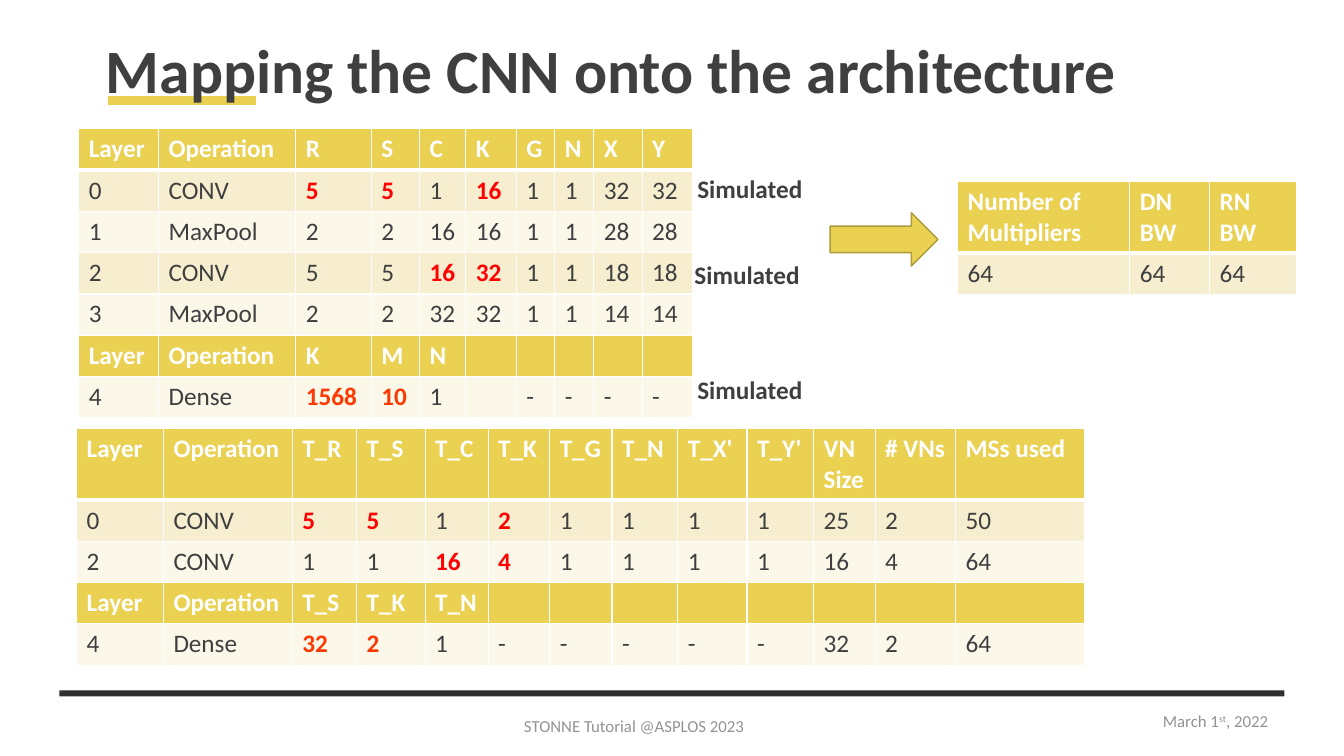
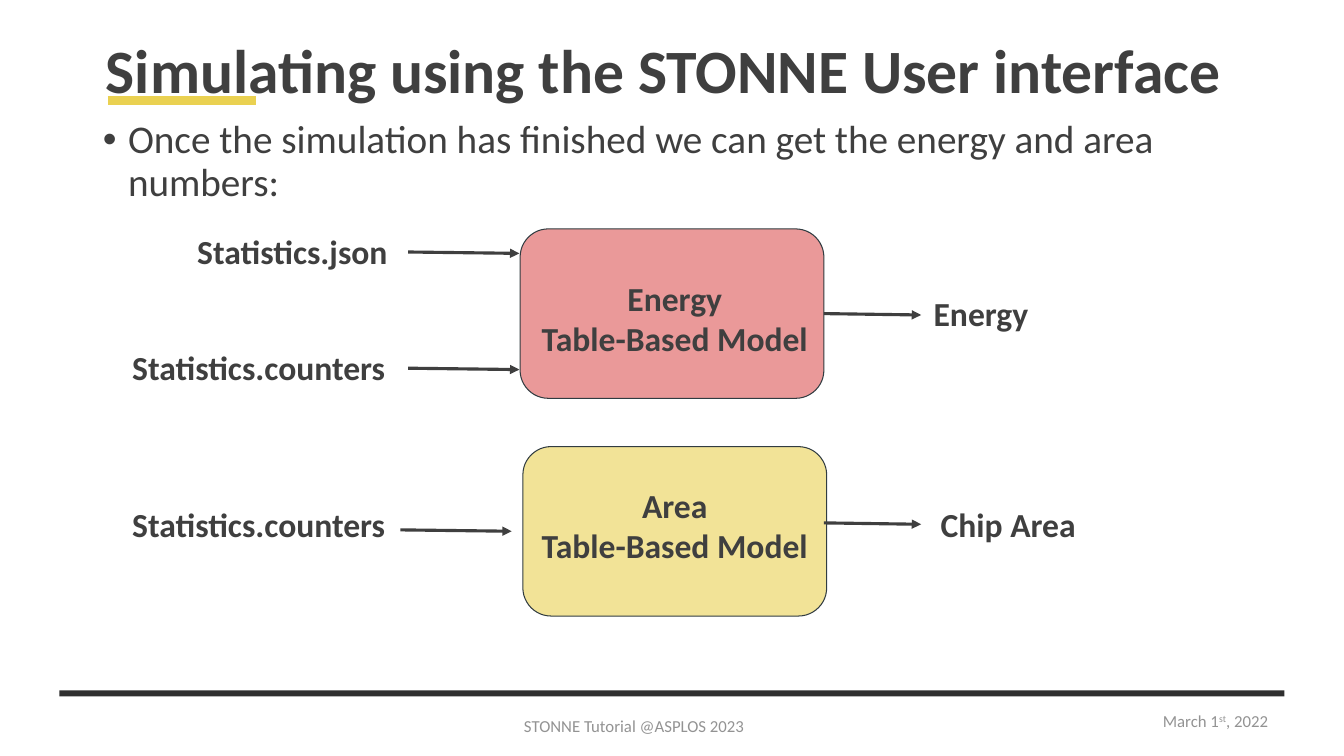
from lxml.etree import SubElement
from pptx import Presentation
from pptx.dml.color import RGBColor
from pptx.enum.shapes import MSO_CONNECTOR as Connector, MSO_SHAPE as Shape
from pptx.enum.text import MSO_ANCHOR as Anchor, MSO_AUTO_SIZE as AutoSize, PP_ALIGN as Align
from pptx.oxml.ns import qn
from pptx.util import Pt

FONT = "Calibri"
TEXT = RGBColor(0x3F, 0x3F, 0x3F)
WHITE = RGBColor(0xFF, 0xFF, 0xFF)
GREY = RGBColor(0x93, 0x93, 0x93)
BAND = RGBColor(0x2F, 0x2F, 0x2F)
GOLD = RGBColor(0xEA, 0xD1, 0x51)
DARK_GOLD = RGBColor(0xAD, 0x9B, 0x3C)
ROW_TINTS = (RGBColor(0xFB, 0xF7, 0xE9), RGBColor(0xF7, 0xEE, 0xD0))
RED = RGBColor(0xFF, 0x00, 0x00)
ORANGE = RGBColor(0xFC, 0x39, 0x03)
PINK = RGBColor(0xEA, 0x99, 0x99)
PALE_GOLD = RGBColor(0xF2, 0xE3, 0x97)
OUTLINE = RGBColor(0x31, 0x3C, 0x41)

HIGHLIGHTS = {"!": RED, "~": ORANGE}  # cell prefixes
WIDE_INSETS = (9.4, 9.4, 9.4, 9.4)
ROW = 29.5
TITLE_ONLY, TITLE_AND_CONTENT = 5, 1

LAYERS = (
    "Layer|Operation|R|S|C|K|G|N|X|Y",
    "0|CONV|!5|!5|1|!16|1|1|32|32",
    "1|MaxPool|2|2|16|16|1|1|28|28",
    "2|CONV|5|5|!16|!32|1|1|18|18",
    "3|MaxPool|2|2|32|32|1|1|14|14",
    "Layer|Operation|K|M|N|||||",
    "4|Dense|~1568|~10|1||-|-|-|-",
)
TILES = (
    "Layer|Operation|T_R|T_S|T_C|T_K|T_G|T_N|T_X'|T_Y'|VN Size|# VNs|MSs used",
    "0|CONV|!5|!5|1|!2|1|1|1|1|25|2|50",
    "2|CONV|1|1|!16|!4|1|1|1|1|16|4|64",
    "Layer|Operation|T_S|T_K|T_N||||||||",
    "4|Dense|~32|~2|1|-|-|-|-|-|32|2|64",
)
HARDWARE = ("Number of Multipliers|DN BW|RN BW", "64|64|64")


def points(values):
    return [Pt(value) for value in values]


def write(frame, text, size=18, bold=False, color=TEXT, align=Align.LEFT,
          superscript="", spacing=None, bullet="", indent=0):
    """Fill a text frame, one paragraph for each line of text."""
    for number, line in enumerate(text.split("\n")):
        paragraph = frame.add_paragraph() if number else frame.paragraphs[0]
        paragraph.alignment = align
        paragraph.line_spacing = spacing
        paragraph.space_before = Pt(0)
        if bullet:
            properties = paragraph._p.get_or_add_pPr()
            properties.set("marL", str(Pt(indent)))
            properties.set("indent", str(-Pt(indent)))
            SubElement(properties, qn("a:buChar"), char=bullet)
        pieces = line.partition(superscript) if superscript else (line,)
        for piece in filter(None, pieces):
            run = paragraph.add_run()
            run.text = piece
            run.font.name, run.font.size = FONT, Pt(size)
            run.font.bold, run.font.color.rgb = bold, color
            if piece == superscript:
                run._r.get_or_add_rPr().set("baseline", "30000")


def set_frame(frame, insets, anchor):
    frame.word_wrap = True
    frame.auto_size = AutoSize.NONE
    frame.vertical_anchor = anchor
    (frame.margin_left, frame.margin_top,
     frame.margin_right, frame.margin_bottom) = points(insets)


def add_text(slide, box, text, insets=(7.2, 3.6, 7.2, 3.6), anchor=Anchor.TOP, **style):
    frame = slide.shapes.add_textbox(*points(box)).text_frame
    set_frame(frame, insets, anchor)
    write(frame, text, **style)


def fill_placeholder(placeholder, box, text, insets, **style):
    (placeholder.left, placeholder.top,
     placeholder.width, placeholder.height) = points(box)
    set_frame(placeholder.text_frame, insets, Anchor.TOP)
    write(placeholder.text_frame, text, spacing=0.9, **style)


def add_block(slide, kind, box, fill, line=None, line_width=1):
    shape = slide.shapes.add_shape(kind, *points(box))
    shape.shadow.inherit = False
    shape.fill.solid()
    shape.fill.fore_color.rgb = fill
    if line is None:
        shape.line.fill.background()
    else:
        shape.line.color.rgb = line
        shape.line.width = Pt(line_width)
    return shape


def add_line(slide, start, end, color=TEXT, width=2.25, arrow=True):
    connector = slide.shapes.add_connector(Connector.STRAIGHT, *points(start + end))
    connector.line.color.rgb = color
    connector.line.width = Pt(width)
    if arrow:
        SubElement(connector.get_or_add_ln(), qn("a:tailEnd"), type="triangle")
    SubElement(connector.element.spPr, qn("a:effectLst"))
    return connector


def add_base_slide(presentation, layout, title):
    """Add a slide with title, accent line, band and footers."""
    slide = presentation.slides.add_slide(presentation.slide_layouts[layout])
    band = add_block(slide, Shape.RECTANGLE, (42.5, 493.2, 875, 4.3), BAND)
    accent = add_line(slide, (77, 72), (183, 72), GOLD, 6.25, arrow=False)
    heading = slide.shapes.title
    fill_placeholder(heading, (66.25, 19.5, 828, 104.5), title, WIDE_INSETS,
                     size=44, bold=True)
    for behind in (band, accent):
        heading.element.addprevious(behind.element)
    footer = dict(anchor=Anchor.MIDDLE, size=12, color=GREY, align=Align.CENTER)
    add_text(slide, (786.25, 500.5, 164, 29), "March 1st, 2022", superscript="st", **footer)
    add_text(slide, (159, 504, 588, 29), "STONNE Tutorial @ASPLOS 2023", **footer)
    return slide


def set_borders(cell, top, bottom):
    properties = cell._tc.get_or_add_tcPr()
    for side, width in (("L", 1), ("R", 1), ("T", top), ("B", bottom)):
        border = SubElement(properties, qn(f"a:ln{side}"), w=str(Pt(width)))
        SubElement(SubElement(border, qn("a:solidFill")), qn("a:srgbClr"), val=str(WHITE))


def add_grid(slide, left, top, rows, widths, header_height=ROW):
    heights = [header_height] + [ROW] * (len(rows) - 1)
    frame = slide.shapes.add_table(len(rows), len(widths), *points(
        (left, top, sum(widths), sum(heights))))
    table = frame.table
    table.horz_banding = False
    for column, width in zip(table.columns, widths):
        column.width = Pt(width)
    for index, (row, height) in enumerate(zip(rows, heights)):
        table.rows[index].height = Pt(height)
        is_header = index == 0 or row.startswith("Layer")
        for column, value in enumerate(row.split("|")):
            cell = table.cell(index, column)
            set_borders(cell, top=3 if index == 1 else 1, bottom=1 if index else 3)
            cell.fill.solid()
            cell.fill.fore_color.rgb = GOLD if is_header else ROW_TINTS[index % 2]
            highlight = HIGHLIGHTS.get(value[:1])
            write(cell.text_frame, value[1:] if highlight else value,
                  bold=is_header or highlight is not None,
                  color=WHITE if is_header else highlight or TEXT)


def add_model(slide, box, name, fill, insets, labels, arrows):
    """Draw a model box; labels and arrows are offset from its corner."""
    left, top = box[:2]
    model = add_block(slide, Shape.ROUNDED_RECTANGLE, box, fill, OUTLINE, 0.75)
    set_frame(model.text_frame, insets, Anchor.MIDDLE)
    write(model.text_frame, f"{name}\nTable-Based Model", size=24, bold=True,
          align=Align.CENTER)
    for text, x, y, width in labels:
        add_text(slide, (left + x, top + y, width, 48), text, WIDE_INSETS,
                 size=24, bold=True)
    for x, y, length in arrows:
        connector = add_line(slide, (left + x, top + y), (left + x + length, top + y + 1))
        if (x, y) == (box[2], box[3] / 2):
            connector.begin_connect(model, 3)


def add_mapping_slide(presentation):
    slide = add_base_slide(presentation, TITLE_ONLY, "Mapping the CNN onto the architecture")
    add_grid(slide, 56.25, 92, LAYERS, (57, 98, 54, 34.5, 33, 36, 27.5, 28, 34.5, 36))
    for left, top in ((491, 120.25), (489, 181.5), (491, 263.5)):
        add_text(slide, (left, top, 94, 29), "Simulated", bold=True)
    add_grid(slide, 54.75, 306, TILES,
             (62, 92, 46, 49, 45, 44, 44.5, 47, 49.5, 47.5, 44, 57.5, 92), 51)
    add_grid(slide, 684, 129.6, HARDWARE, (123, 57, 62), 50)
    add_block(slide, Shape.RIGHT_ARROW, (593, 152, 77, 38), GOLD, DARK_GOLD)


def add_simulation_slide(presentation):
    slide = add_base_slide(presentation, TITLE_AND_CONTENT,
                           "Simulating using the STONNE User interface")
    fill_placeholder(
        slide.placeholders[1], (66.25, 82, 828, 405),
        "Once the simulation has finished we can get the energy and area numbers:",
        (7.2, 3.6, 7.2, 3.6), size=28, bullet="•", indent=18)
    add_model(slide, (371.5, 163.5, 217, 121), "Energy", PINK, (9, 10, 5, 4),
              labels=(("Statistics.json", -240, -8, 160),
                      ("Statistics.counters", -286.5, 75, 207),
                      ("Energy", 286, 36, 122)),
              arrows=((-80, 16.5, 79.5), (-80, 99.5, 79.5), (217, 60.5, 69.5)))
    add_model(slide, (373.5, 319, 217, 121), "Area", PALE_GOLD, (5, 2, 5, 11),
              labels=(("Statistics.counters", -288.5, 31.5, 207),
                      ("Chip Area", 289, 31.5, 122)),
              arrows=((-87.5, 59.5, 79.5), (215, 54.5, 69.5)))


def main():
    presentation = Presentation()
    presentation.slide_width, presentation.slide_height = Pt(960), Pt(540)
    add_mapping_slide(presentation)
    add_simulation_slide(presentation)
    presentation.save("out.pptx")


if __name__ == "__main__":
    main()
